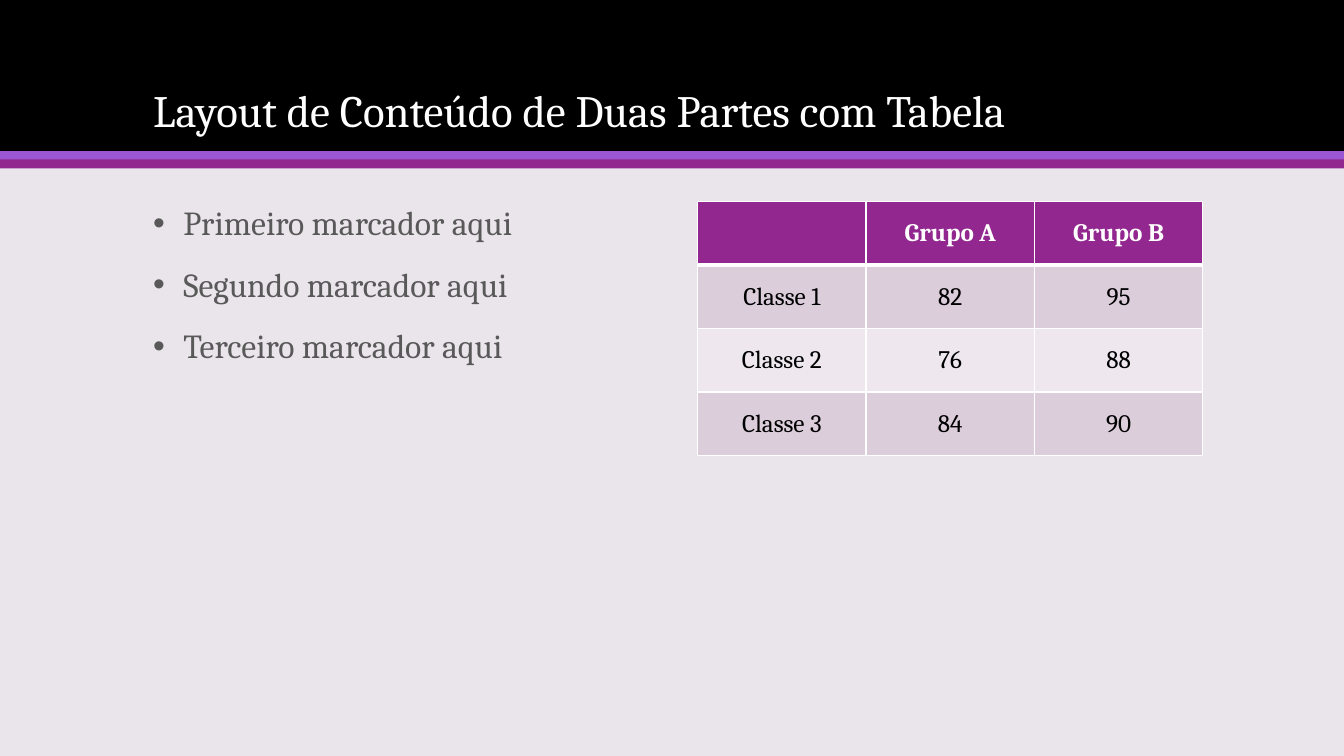
"""Build a two-part content slide with bullets and a table."""
import dataclasses

import lxml.etree
import pptx
import pptx.dml.color
import pptx.enum.shapes
import pptx.enum.text
import pptx.oxml.ns
import pptx.util

Inches = pptx.util.Inches
Pt = pptx.util.Pt

TITLE = "Layout de Conteúdo de Duas Partes com Tabela"
BULLETS = ["Primeiro marcador aqui", "Segundo marcador aqui", "Terceiro marcador aqui"]
SCORES = [
    ["", "Grupo A", "Grupo B"],
    ["Classe 1", "82", "95"],
    ["Classe 2", "76", "88"],
    ["Classe 3", "84", "90"],
]


@dataclasses.dataclass(frozen=True)
class Theme:
    """Colours, font and type sizes."""
    font: str = "Cambria"
    background: str = "EAE5EB"
    black: str = "000000"
    white: str = "FFFFFF"
    violet: str = "9B57D3"
    purple: str = "92278F"
    grey: str = "595959"
    row_dark: str = "DCCDDB"
    row_light: str = "EEE8EE"
    title_size: int = 32
    bullet_size: int = 24
    table_size: int = 18


THEME = Theme()
WIDTH, HEIGHT = 13.33, 7.5
LEFT, CONTENT_WIDTH, CONTENT_TOP = 1.42, 10.5, 2
TABLE_LEFT, COLUMN_WIDTH, ROW_HEIGHT = 6.92, 1.67, 0.63
INDENT = 0.3
BANDS = [(0, 1.5, THEME.black), (1.5, 0.09, THEME.violet), (1.58, 0.09, THEME.purple)]


def paint(fill, colour):
    fill.solid()
    fill.fore_color.rgb = pptx.dml.color.RGBColor.from_string(colour)


def style(paragraph, size, colour, bold=False):
    paragraph.font.name = THEME.font
    paragraph.font.size = Pt(size)
    paragraph.font.bold = bold
    paragraph.font.color.rgb = pptx.dml.color.RGBColor.from_string(colour)


def add_element(parent, tag, **attributes):
    return lxml.etree.SubElement(parent, pptx.oxml.ns.qn(tag), **attributes)


def add_band(slide, top, height, colour):
    band = slide.shapes.add_shape(
        pptx.enum.shapes.MSO_SHAPE.RECTANGLE, 0, Inches(top), Inches(WIDTH), Inches(height))
    band.shadow.inherit = False
    paint(band.fill, colour)
    band.line.fill.background()


def add_text(slide, top, height, lines, size, colour, anchor):
    box = slide.shapes.add_textbox(
        Inches(LEFT), Inches(top), Inches(CONTENT_WIDTH), Inches(height))
    frame = box.text_frame
    frame.word_wrap = True
    frame.vertical_anchor = anchor
    frame.text = "\n".join(lines)
    for paragraph in frame.paragraphs:
        paragraph.line_spacing = 0.9
        style(paragraph, size, colour)
    return frame


def add_bullets(frame):
    for index, paragraph in enumerate(frame.paragraphs):
        paragraph.space_before = Pt(18 if index else 0)
        properties = paragraph._p.get_or_add_pPr()
        properties.set("marL", str(Inches(INDENT)))
        properties.set("indent", str(-Inches(INDENT)))
        add_element(properties, "a:buFont", typeface="Arial")
        add_element(properties, "a:buChar", char="•")


def add_borders(cell, row):
    properties = cell._tc.get_or_add_tcPr()
    widths = {"L": 1, "R": 1, "T": 3 if row == 1 else 1, "B": 3 if row == 0 else 1}
    for side, width in widths.items():
        line = add_element(properties, f"a:ln{side}", w=str(Pt(width)))
        add_element(add_element(line, "a:solidFill"), "a:srgbClr", val=THEME.white)


def add_scores(slide):
    rows, columns = len(SCORES), len(SCORES[0])
    table = slide.shapes.add_table(
        rows, columns, Inches(TABLE_LEFT), Inches(CONTENT_TOP),
        Inches(columns * COLUMN_WIDTH), Inches(rows * ROW_HEIGHT)).table
    for column in table.columns:
        column.width = Inches(COLUMN_WIDTH)
    for row, values in enumerate(SCORES):
        table.rows[row].height = Inches(ROW_HEIGHT)
        header = row == 0
        body_fill = THEME.row_dark if row % 2 else THEME.row_light
        for column, value in enumerate(values):
            cell = table.cell(row, column)
            cell.text = value
            cell.vertical_anchor = pptx.enum.text.MSO_ANCHOR.MIDDLE
            paragraph = cell.text_frame.paragraphs[0]
            paragraph.alignment = pptx.enum.text.PP_ALIGN.CENTER
            style(paragraph, THEME.table_size, THEME.white if header else THEME.black, header)
            add_borders(cell, row)
            paint(cell.fill, THEME.purple if header else body_fill)


def main():
    deck = pptx.Presentation()
    deck.slide_width, deck.slide_height = Inches(WIDTH), Inches(HEIGHT)
    slide = deck.slides.add_slide(deck.slide_layouts[6])
    paint(slide.background.fill, THEME.background)
    for top, height, colour in BANDS:
        add_band(slide, top, height, colour)
    add_text(slide, 0.28, 1.13, [TITLE], THEME.title_size, THEME.white,
             pptx.enum.text.MSO_ANCHOR.BOTTOM)
    bullets = add_text(slide, CONTENT_TOP, 4.75, BULLETS, THEME.bullet_size, THEME.grey,
                       pptx.enum.text.MSO_ANCHOR.TOP)
    add_bullets(bullets)
    add_scores(slide)
    deck.save("out.pptx")


if __name__ == "__main__":
    main()
